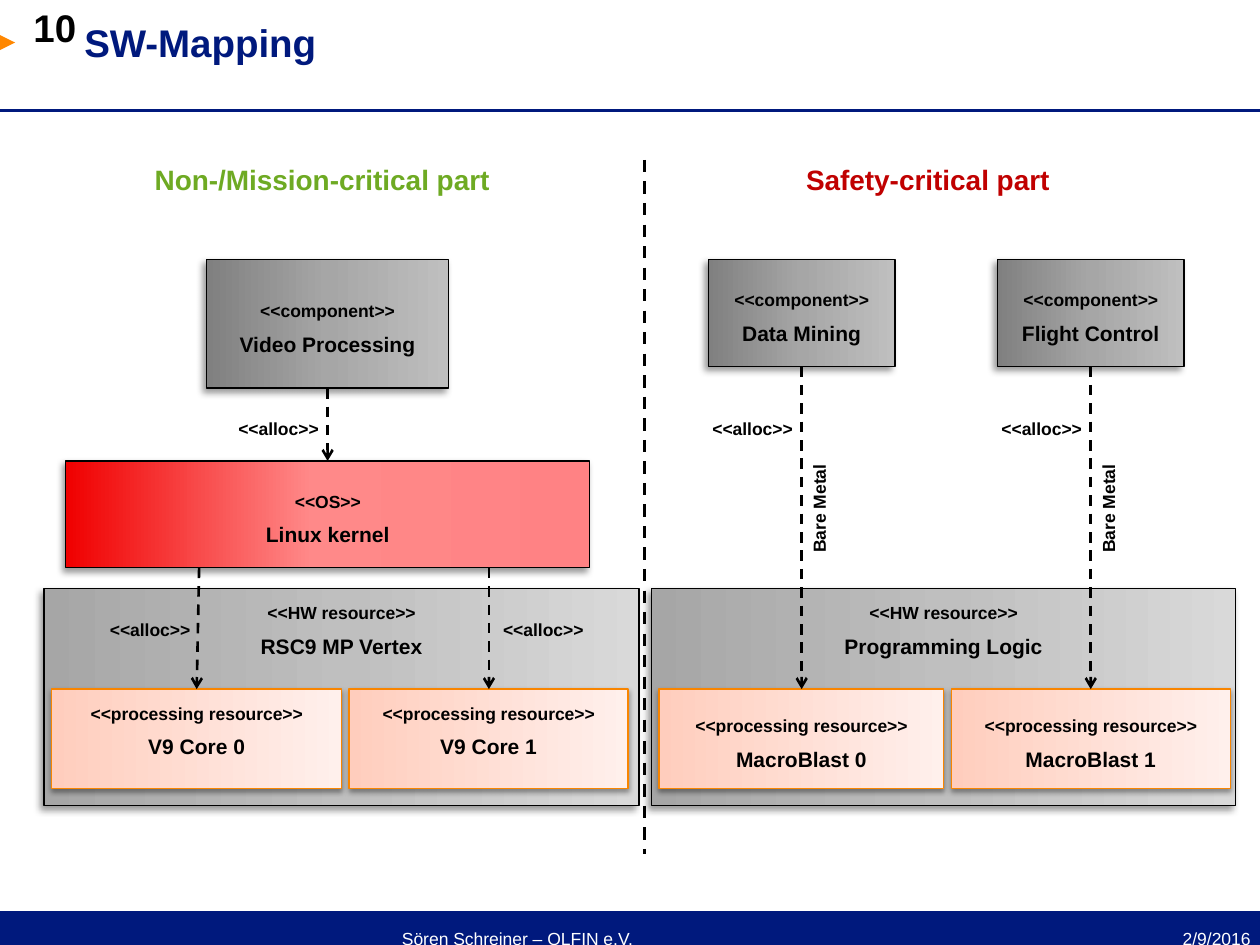
from dataclasses import dataclass

from lxml import etree
from pptx import Presentation
from pptx.dml.color import RGBColor
from pptx.enum import dml, shapes, text
from pptx.oxml import ns
from pptx.util import Pt

COLORS = {"navy": "00197D", "orange": "FF8700", "core_line": "F98500", "black": "000000",
          "white": "FFFFFF", "green": "6EAA23", "red": "C00000"}
GRADIENTS = {
    "component": [(0, "808080"), (50, "A6A6A6"), (100, "BFBFBF")],
    "hardware": [(0, "A6A6A6"), (51, "BFBFBF"), (100, "D9D9D9")],
    "os": [(0, "F00000"), (47, "FF8989"), (100, "FF8284")],
    "core": [(0, "FFCDBD"), (100, "FFF0EC")],
}
LEFT, CENTER, RIGHT = text.PP_ALIGN.LEFT, text.PP_ALIGN.CENTER, text.PP_ALIGN.RIGHT
TOP, MIDDLE = text.MSO_ANCHOR.TOP, text.MSO_ANCHOR.MIDDLE
ALLOC_W, LABEL_H = 88, 24.5
COMPONENT_Y, OS_Y, HARDWARE_Y, CORE_Y = 57, 172, 245, 302.4


@dataclass
class Box:
    x: float
    y: float
    w: float
    h: float

    def inner(self, x, y, w, h):
        return Box(self.x + x, self.y + y, w, h)

    def emu(self):
        return Pt(self.x), Pt(self.y), Pt(self.w), Pt(self.h)


def rgb(name):
    return RGBColor.from_string(COLORS[name])


def style(paragraph, size, color="black", bold=True, align=CENTER):
    paragraph.alignment = align
    font = paragraph.font
    font.name, font.size, font.bold = "Arial", Pt(size), bold
    font.color.rgb = rgb(color)


def set_frame(frame, inset, wrap, anchor=TOP):
    frame.margin_left = frame.margin_right = frame.margin_top = frame.margin_bottom = Pt(inset)
    frame.word_wrap, frame.vertical_anchor = wrap, anchor


def add_plain_text(slide, box, words, size, color, bold=False, align=LEFT):
    frame = slide.shapes.add_textbox(*box.emu()).text_frame
    set_frame(frame, 0, False)
    frame.text = words
    style(frame.paragraphs[0], size, color, bold, align)


def add_label(slide, box, words, size=10, color="black", align=RIGHT, rotation=0):
    label = slide.shapes.add_textbox(*box.emu())
    label.rotation = rotation
    frame = label.text_frame
    frame.word_wrap = True
    frame.text = words
    paragraph = frame.paragraphs[0]
    paragraph.line_spacing, paragraph.space_after = Pt(17), Pt(3)
    style(paragraph, size, color, align=align)


def add_line(slide, start, end, color="black", width=1.5, dashed=False, arrow=False):
    line = slide.shapes.add_connector(shapes.MSO_CONNECTOR.STRAIGHT, *map(Pt, (*start, *end)))
    line.line.color.rgb, line.line.width = rgb(color), Pt(width)
    if dashed:
        line.line.dash_style = dml.MSO_LINE.DASH
    if arrow:
        etree.SubElement(line.line._get_or_add_ln(), ns.qn("a:tailEnd"), type="arrow")
    etree.SubElement(line._element.spPr, ns.qn("a:effectLst"))


def add_shadow(shape, blur, distance, angle, alpha):
    shape.shadow.inherit = False
    effects = shape._element.spPr.find(ns.qn("a:effectLst"))
    shadow = etree.SubElement(effects, ns.qn("a:outerShdw"), blurRad=str(Pt(blur)),
                              dist=str(Pt(distance)), dir=str(angle * 60000), rotWithShape="0")
    color = etree.SubElement(shadow, ns.qn("a:srgbClr"), val=COLORS["black"])
    etree.SubElement(color, ns.qn("a:alpha"), val=str(alpha * 1000))


def add_block(slide, box, kind, stereotype, name, anchor=MIDDLE):
    block = slide.shapes.add_shape(shapes.MSO_SHAPE.RECTANGLE, *box.emu())
    block.fill.gradient()
    block.fill.gradient_angle = 0
    stops = block._element.spPr.find(".//" + ns.qn("a:gsLst"))
    stops[:] = []
    for position, color in GRADIENTS[kind]:
        stop = etree.SubElement(stops, ns.qn("a:gs"), pos=str(position * 1000))
        etree.SubElement(stop, ns.qn("a:srgbClr"), val=color)
    block.line.color.rgb = rgb("core_line" if kind == "core" else "black")
    block.line.width = Pt(0.75)
    add_shadow(block, *((3.1, 1.6, 90, 38) if kind == "core" else (4, 3, 135, 40)))

    frame = block.text_frame
    set_frame(frame, 2.88, True, anchor)
    frame.text = f"<<{stereotype}>>\n{name}"
    for paragraph, size in zip(frame.paragraphs, (10, 12)):
        properties = paragraph._p.get_or_add_pPr()
        properties.set("marL", str(Pt(7.2)))
        properties.set("indent", str(Pt(-7.2)))
        paragraph.line_spacing, paragraph.space_after = Pt(17), Pt(3)
        style(paragraph, size)


def add_alloc(slide, box, x, start, end, label_y, shift=0.0, right_side=False):
    """Dashed arrow with its <<alloc>> label to the left or right."""
    add_line(slide, (box.x + x, box.y + start), (box.x + x + shift, box.y + end),
             dashed=True, arrow=True)
    label_x = x + 1 if right_side else x + 2 - ALLOC_W
    add_label(slide, box.inner(label_x, label_y, ALLOC_W, LABEL_H), "<<alloc>>",
              align=LEFT if right_side else RIGHT)


def add_hardware(slide, box, name, cores, anchor):
    add_block(slide, box.inner(0, HARDWARE_Y, box.w, 124), "hardware", "HW resource", name, TOP)
    x = 4.4
    for core, width in cores:
        add_block(slide, box.inner(x, CORE_Y, width, 57), "core", "processing resource",
                  core, anchor)
        x += width + 4.3


def add_mission_part(slide, box):
    add_label(slide, box.inner(34, 0, 250, LABEL_H), "Non-/Mission-critical part", 16,
              "green", CENTER)
    add_block(slide, box.inner(93, COMPONENT_Y, 138, 73.4), "component", "component",
              "Video Processing")
    add_hardware(slide, box, "RSC9 MP Vertex", [("V9 Core 0", 165.6), ("V9 Core 1", 159.4)], TOP)
    add_block(slide, box.inner(12.4, OS_Y, 299.5, 61), "os", "OS", "Linux kernel")
    add_alloc(slide, box, 162, COMPONENT_Y + 73.4, OS_Y, 139)
    add_alloc(slide, box, 88.6, OS_Y + 61, CORE_Y, 254, shift=-1.4)
    add_alloc(slide, box, 254.2, OS_Y + 61, CORE_Y, 254, right_side=True)


def add_safety_part(slide, box):
    add_label(slide, box.inner(33, 0, 250, LABEL_H), "Safety-critical part", 16, "red", CENTER)
    add_hardware(slide, box, "Programming Logic",
                 [("MacroBlast 0", 162.7), ("MacroBlast 1", 159.4)], MIDDLE)
    for x, name in ((32.6, "Data Mining"), (197.8, "Flight Control")):
        add_block(slide, box.inner(x, COMPONENT_Y, 106.6, 61), "component", "component", name)
        middle = x + 53.3
        add_alloc(slide, box, middle, COMPONENT_Y + 61, CORE_Y, 139)
        add_label(slide, box.inner(middle + 7.6 - ALLOC_W / 2, 198.7, ALLOC_W, LABEL_H),
                  "Bare Metal", rotation=270)


def add_header(slide, box):
    add_line(slide, (box.x, box.y + box.h), (box.x + box.w, box.y + box.h), "navy")
    marker = slide.shapes.add_shape(shapes.MSO_SHAPE.PENTAGON, *box.inner(0, 20, 8.6, 8.6).emu())
    marker.adjustments[0] = 1
    marker.shadow.inherit = False
    marker.fill.solid()
    marker.fill.fore_color.rgb = rgb("orange")
    marker.line.fill.background()
    title = slide.shapes.title
    title.left, title.top, title.width, title.height = box.inner(48.2, 10, 459, 28).emu()
    set_frame(title.text_frame, 0, False, MIDDLE)
    title.text_frame.text = "SW-Mapping"
    style(title.text_frame.paragraphs[0], 22, "navy", align=LEFT)
    add_plain_text(slide, box.inner(0, 2.2, 43.6, 28), "10", 22, "black", True, RIGHT)


def add_footer(slide, box):
    bar = slide.shapes.add_shape(shapes.MSO_SHAPE.RECTANGLE, *box.emu())
    bar.shadow.inherit = False
    bar.fill.solid()
    bar.fill.fore_color.rgb = rgb("navy")
    bar.line.fill.background()
    add_line(slide, (box.x, box.y), (box.x + box.w, box.y), "white")
    add_plain_text(slide, box.inner(229.7, 10, 413, 12), "Sören Schreiner – OLFIN e.V.", 10, "white")
    add_plain_text(slide, box.inner(655, 10, 59.6, 12), "2/9/2016", 10, "white", align=RIGHT)


def main():
    deck = Presentation()
    deck.slide_width, deck.slide_height = Pt(720), Pt(540)
    slide = deck.slides.add_slide(deck.slide_layouts[5])
    add_header(slide, Box(0, 0, 720, 63))
    add_footer(slide, Box(0, 520, 720, 20))
    # Divider between the two parts
    add_line(slide, (368.4, 91.4), (368.4, 488), width=1.75, dashed=True)
    add_mission_part(slide, Box(25.2, 91.4, 340, 369))
    add_safety_part(slide, Box(372.2, 91.4, 334, 369))
    deck.save("out.pptx")


if __name__ == "__main__":
    main()
